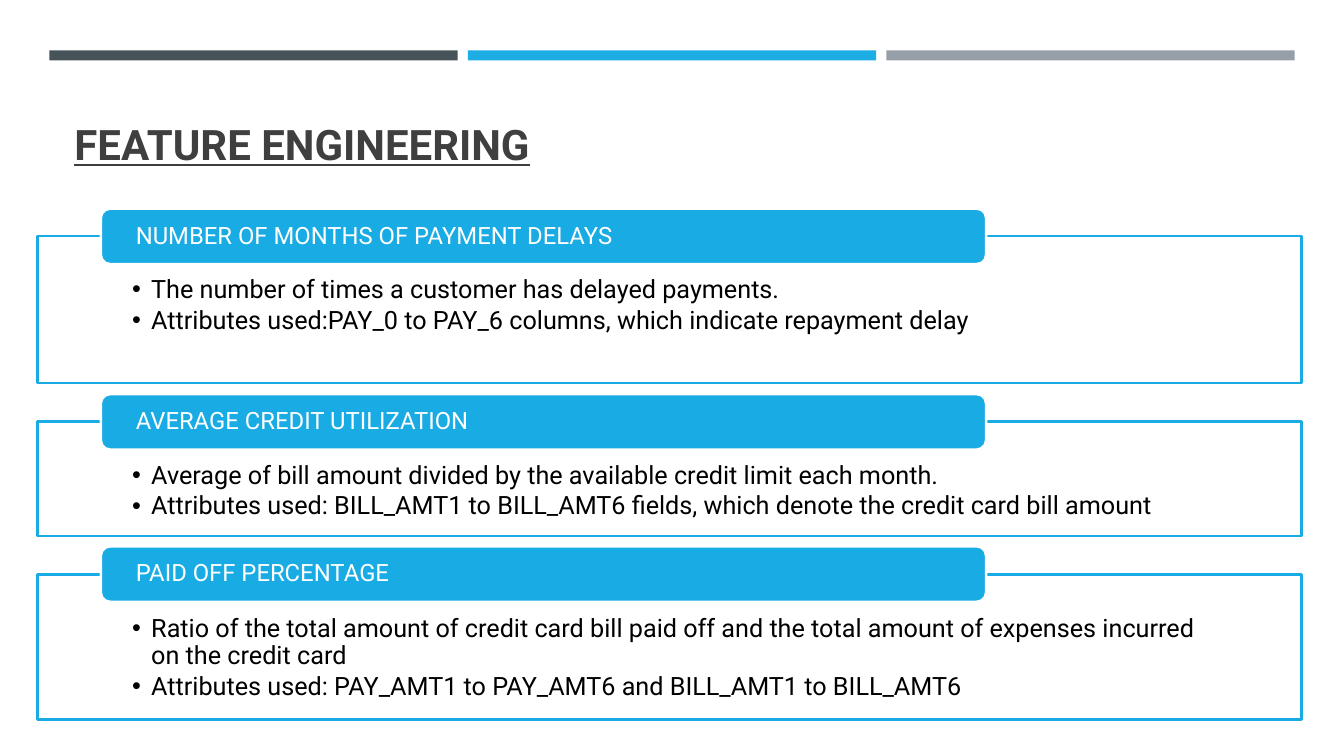
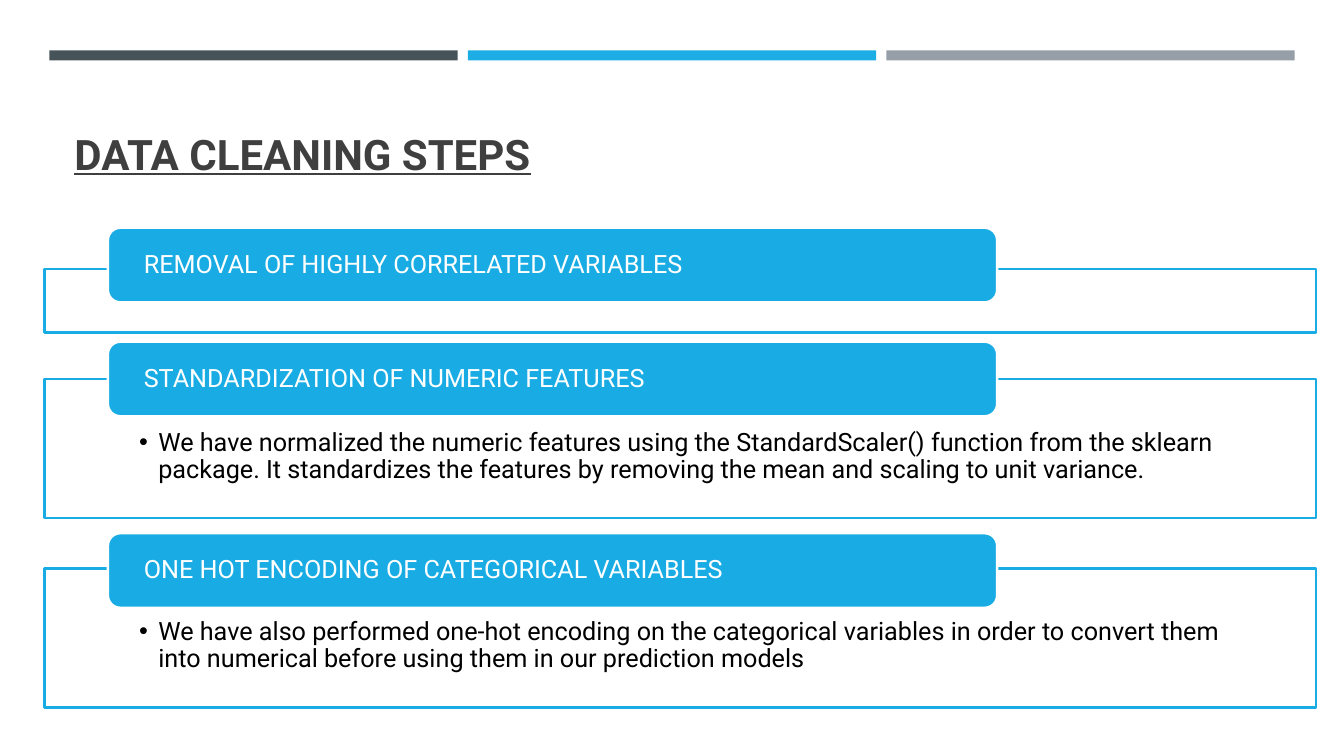
import lxml.etree
import pptx
import pptx.dml.color
import pptx.enum.shapes
import pptx.enum.text
import pptx.oxml.ns
import pptx.util

SCALE = 9144
COLORS = {
    "slate": "465359",
    "sky": "1CADE4",
    "grey": "969FA7",
    "accent": "19ACE4",
    "title": "3F3F3F",
    "body": "000000",
    "white": "FFFFFF",
}
FONT = "Roboto"
SHAPES = pptx.enum.shapes.MSO_SHAPE
ANCHORS = pptx.enum.text.MSO_ANCHOR


def px(length):
    return pptx.util.Emu(length * SCALE)


def rgb(name):
    return pptx.dml.color.RGBColor.from_string(COLORS[name])


def add_bullet(paragraph, color, hang):
    properties = paragraph._p.get_or_add_pPr()
    properties.set("marL", str(px(hang)))
    properties.set("indent", str(px(-hang)))
    qn = pptx.oxml.ns.qn
    bullet_color = lxml.etree.SubElement(properties, qn("a:buClr"))
    lxml.etree.SubElement(bullet_color, qn("a:srgbClr"), val=COLORS[color])
    lxml.etree.SubElement(properties, qn("a:buFont"), typeface="Arial")
    lxml.etree.SubElement(properties, qn("a:buChar"), char="•")


def write(shape, text, *, size, color, insets, anchor=ANCHORS.TOP, bold=False,
          underline=False, bullets=False, line_spacing=None):
    frame = shape.text_frame
    frame.word_wrap = True
    frame.vertical_anchor = anchor
    (frame.margin_left, frame.margin_top,
     frame.margin_right, frame.margin_bottom) = map(px, insets)
    for index, line in enumerate(text.split("\n")):
        paragraph = frame.add_paragraph() if index else frame.paragraphs[0]
        paragraph.alignment = pptx.enum.text.PP_ALIGN.LEFT
        paragraph.line_spacing = line_spacing
        if bullets:
            paragraph.level = 1
            paragraph.space_before = pptx.util.Pt(2.4 if index else 0)
            add_bullet(paragraph, color, 19)
        run = paragraph.add_run()
        run.text = line
        run.font.name = FONT
        run.font.size = pptx.util.Pt(size)
        run.font.color.rgb = rgb(color)
        run.font.bold = bold
        run.font.underline = underline


class Deck:
    def __init__(self):
        self.presentation = pptx.Presentation()
        self.presentation.slide_width = px(1333)
        self.presentation.slide_height = px(750)
        self.slide = None

    def new_slide(self, title, title_top):
        layout = self.presentation.slide_layouts[6]
        self.slide = self.presentation.slides.add_slide(layout)
        for column, color in enumerate(("slate", "sky", "grey")):
            self.block(SHAPES.RECTANGLE, (49 + 415 * column, 50, 405, 10), color)
        heading = self.slide.shapes.add_textbox(*map(px, (64, title_top, 1206, 130)))
        write(heading, title, size=30, color="title", insets=(10, 5, 10, 5),
              anchor=ANCHORS.BOTTOM, bold=True, underline=True)

    def block(self, kind, box, fill, line=None):
        shape = self.slide.shapes.add_shape(kind, *map(px, box))
        shape.shadow.inherit = False
        shape.fill.solid()
        shape.fill.fore_color.rgb = rgb(fill)
        if line:
            shape.line.color.rgb = rgb(line)
            shape.line.width = pptx.util.Pt(1.75)
        else:
            shape.line.fill.background()
        return shape

    def panel(self, box, body, top_inset):
        panel = self.block(SHAPES.RECTANGLE, box, "white", "accent")
        if body:
            write(panel, body, size=18, color="body", bullets=True,
                  insets=(94, top_inset, 94, 0), line_spacing=0.9)

    def tab(self, box, label, size):
        tab = self.block(SHAPES.ROUNDED_RECTANGLE, box, "accent", "white")
        tab.adjustments[0] = 0.167
        write(tab, label, size=size, color="white", insets=(32, 0, 32, 0),
              anchor=ANCHORS.MIDDLE, line_spacing=0.9)

    def sections(self, sections, *, left, width, tab_width, tab_height,
                 label_size, top_inset):
        for label, body, tab_top, panel_top, panel_height in sections:
            self.panel((left, panel_top, width, panel_height), body, top_inset)
            self.tab((left + 63, tab_top, tab_width, tab_height), label, label_size)


FEATURES = [
    ("NUMBER OF MONTHS OF PAYMENT DELAYS",
     "The number of times a customer has delayed payments.\n"
     "Attributes used:PAY_0 to PAY_6 columns, which indicate repayment delay",
     207, 234, 146),
    ("AVERAGE CREDIT UTILIZATION",
     "Average of bill amount divided by the available credit limit each month.\n"
     "Attributes used: BILL_AMT1 to BILL_AMT6 fields, which denote the credit card bill amount",
     391, 418, 114),
    ("PAID OFF PERCENTAGE",
     "Ratio of the total amount of credit card bill paid off and the total amount "
     "of expenses incurred on the credit card\n"
     "Attributes used: PAY_AMT1 to PAY_AMT6 and BILL_AMT1 to BILL_AMT6",
     542, 570, 144),
]
CLEANING_STEPS = [
    ("REMOVAL OF HIGHLY CORRELATED VARIABLES", "", 226, 267, 63),
    ("STANDARDIZATION OF NUMERIC FEATURES",
     "We have normalized the numeric features using the StandardScaler() function "
     "from the sklearn package. It standardizes the features by removing the mean "
     "and scaling to unit variance.",
     339, 376, 138),
    ("ONE HOT ENCODING OF CATEGORICAL VARIABLES",
     "We have also performed one-hot encoding on the categorical variables in order "
     "to convert them into numerical before using them in our prediction models",
     529, 564, 138),
]


def main():
    deck = Deck()
    deck.new_slide("FEATURE ENGINEERING", 43)
    deck.sections(FEATURES, left=37, width=1254, tab_width=878, tab_height=55,
                  label_size=17, top_inset=41)
    deck.new_slide("DATA CLEANING STEPS", 52)
    deck.sections(CLEANING_STEPS, left=44, width=1261, tab_width=882, tab_height=74,
                  label_size=18, top_inset=50)
    deck.presentation.save("out.pptx")


if __name__ == "__main__":
    main()
